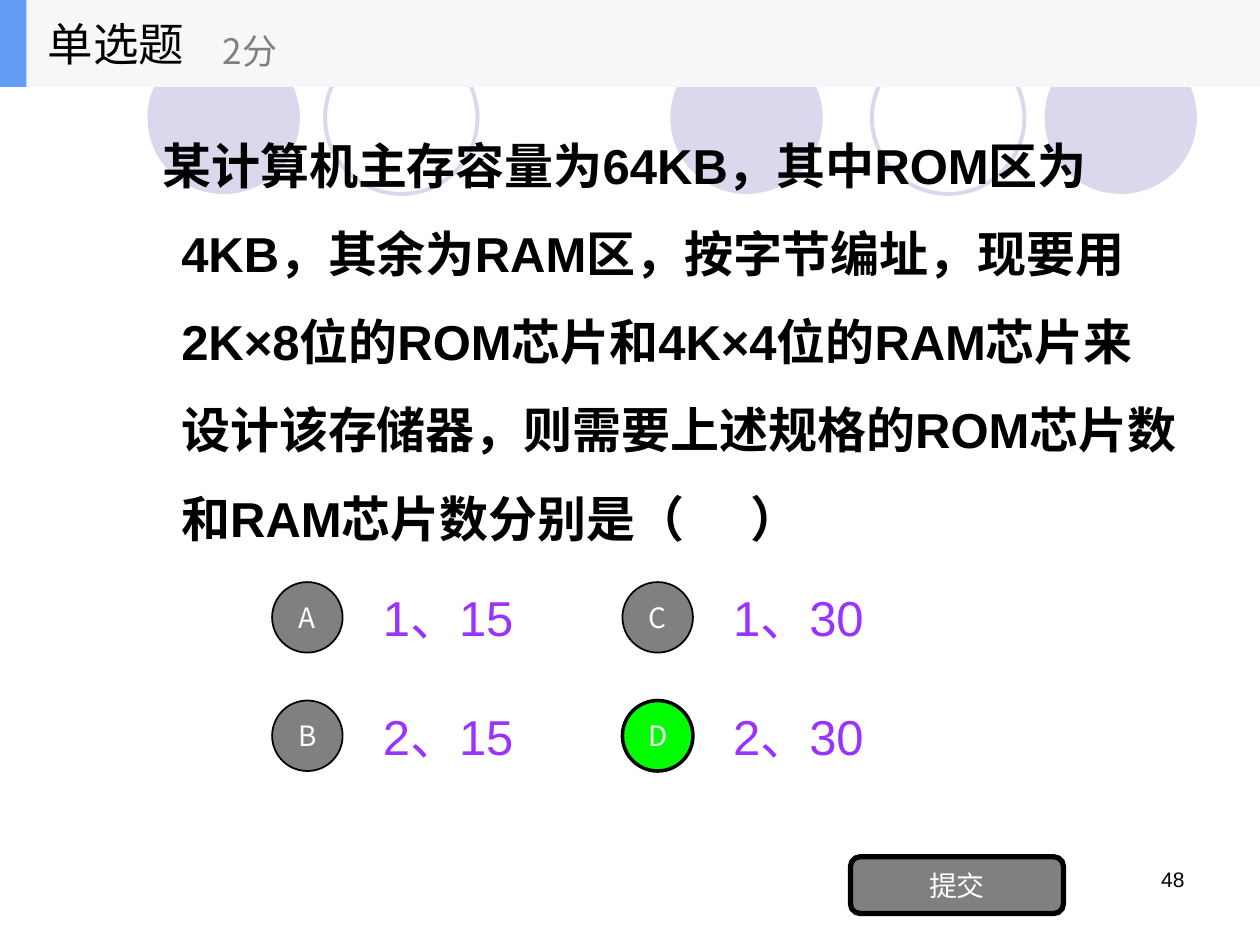
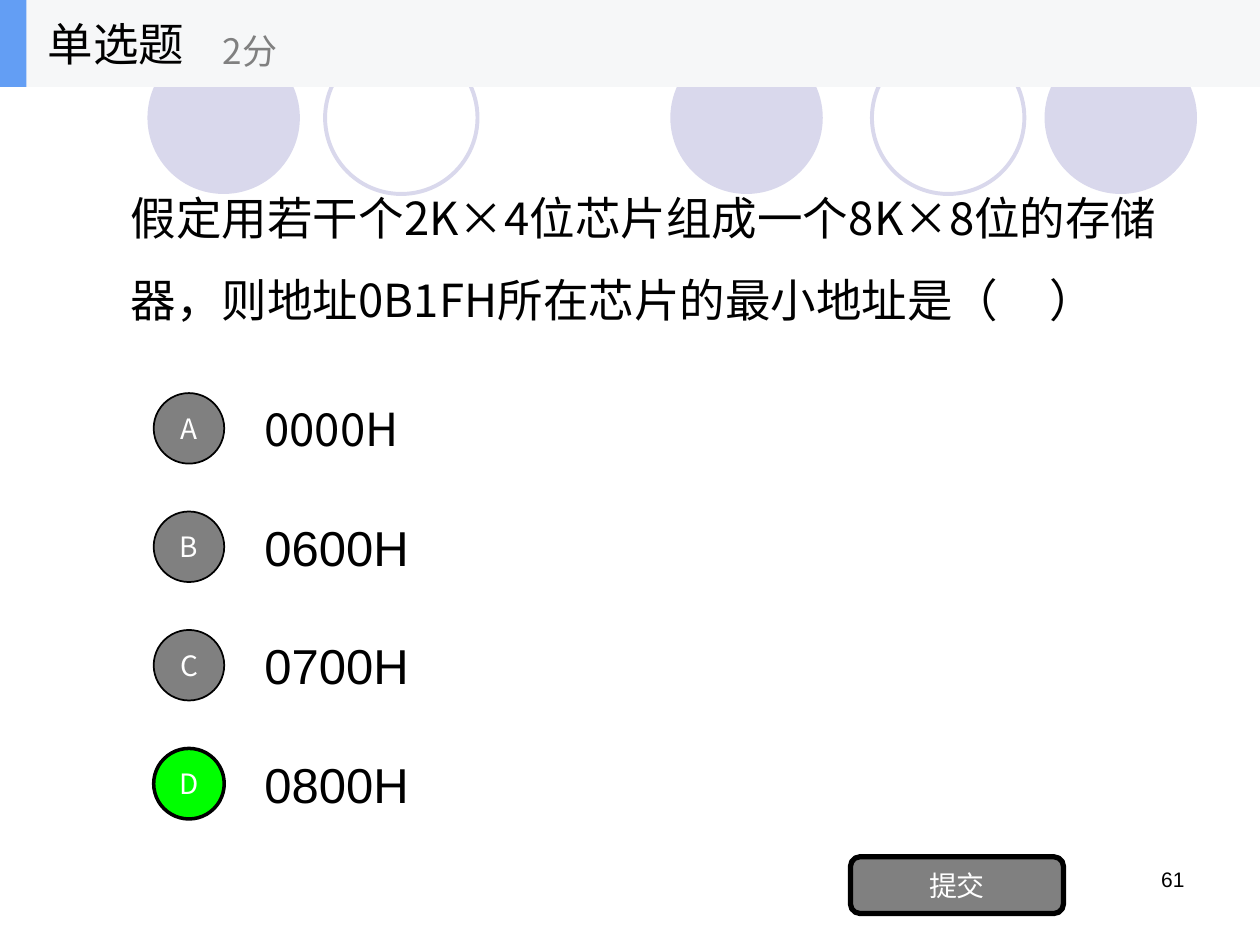
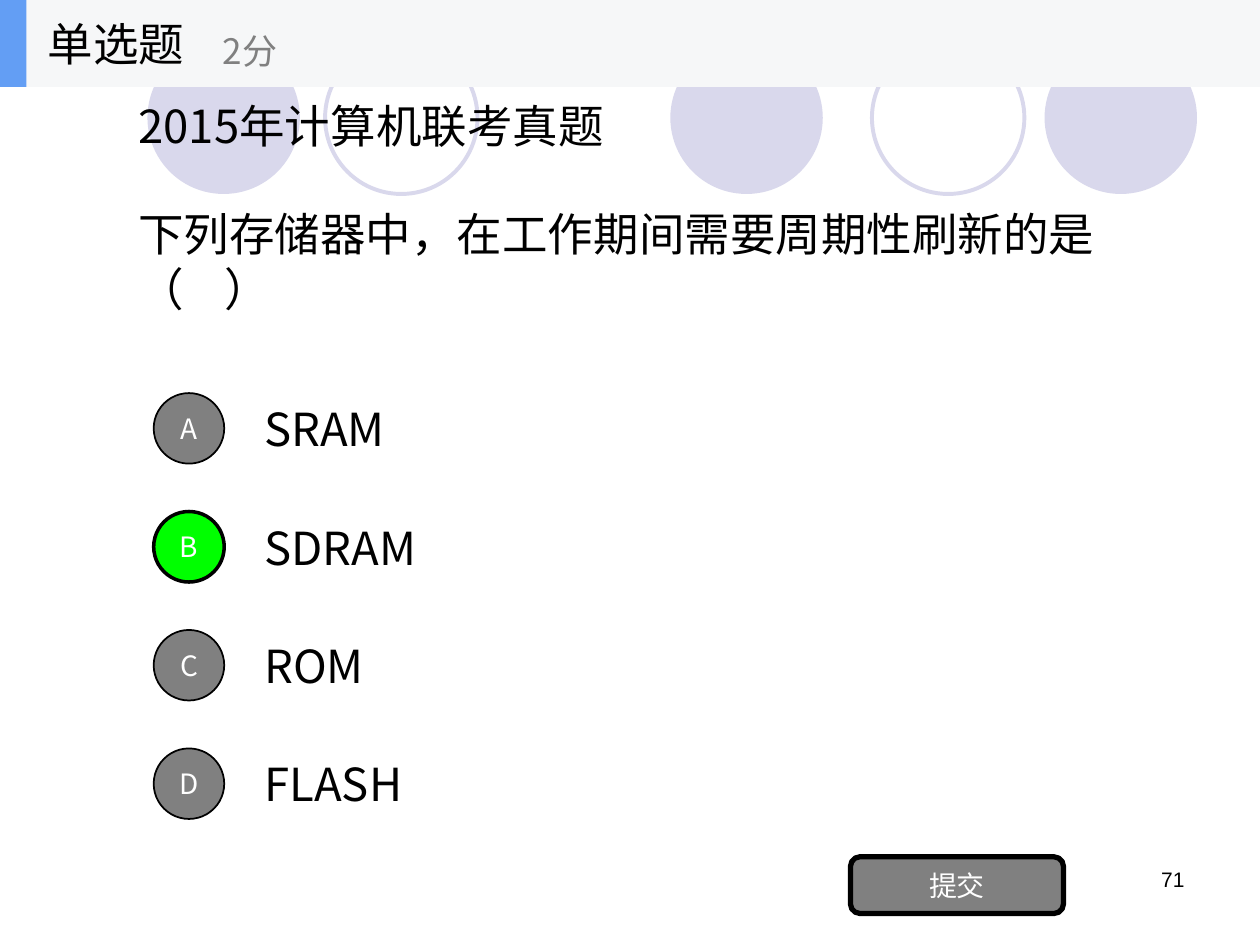
from pptx import Presentation
from pptx.dml.color import RGBColor
from pptx.enum.shapes import MSO_SHAPE
from pptx.enum.text import MSO_ANCHOR, PP_ALIGN
from pptx.oxml.ns import qn
from pptx.util import Inches, Pt

OVAL, RECT, ROUNDED = MSO_SHAPE.OVAL, MSO_SHAPE.RECTANGLE, MSO_SHAPE.ROUNDED_RECTANGLE
TOP, MIDDLE = MSO_ANCHOR.TOP, MSO_ANCHOR.MIDDLE
LEFT, CENTER, RIGHT = PP_ALIGN.LEFT, PP_ALIGN.CENTER, PP_ALIGN.RIGHT

BLACK = RGBColor(0x00, 0x00, 0x00)
WHITE = RGBColor(0xFF, 0xFF, 0xFF)
GRAY = RGBColor(0x80, 0x80, 0x80)
GREEN = RGBColor(0x00, 0xFF, 0x00)
PURPLE = RGBColor(0x99, 0x33, 0xFF)
LAVENDER = RGBColor(0xD9, 0xD8, 0xEC)
BAND = RGBColor(0xF6, 0xF7, 0xF8)
BLUE = RGBColor(0x63, 0x9E, 0xF4)

ARIAL, CJK = "Arial", "Noto Sans CJK SC"

# Content
HEADING, SCORE, SUBMIT = "单选题", "2分", "提交"
QUESTIONS = [
    {
        "number": "48",
        "question": ["某计算机主存容量为64KB，其中ROM区为4KB，其余为RAM区，按字节编址，"
                     "现要用2K×8位的ROM芯片和4K×4位的RAM芯片来设计该存储器，"
                     "则需要上述规格的ROM芯片数和RAM芯片数分别是（      ）"],
        "box": (0.75, 1.03, 8.72, 3.12),
        "style": {"font": ARIAL, "size": 28, "bold": True, "spacing": 1.5,
                  "margin": 0.59, "indent": -0.15},
        "options": [("1、15", ARIAL, 28), ("2、15", ARIAL, 28),
                    ("1、30", ARIAL, 28), ("2、30", ARIAL, 28)],
        "answer": "D", "color": PURPLE,
        "origin": (2.16, 4.62), "rows": 2, "option_width": 1.58,
    },
    {
        "number": "61",
        "question": ["假定用若干个2K×4位芯片组成一个8K×8位的存储器，"
                     "则地址0B1FH所在芯片的最小地址是（     ）"],
        "box": (0.94, 0.77, 8.41, 2.34),
        "style": {"size": 26, "spacing": 1.5},
        "options": [("0000H", CJK, 26), ("0600H", ARIAL, 28),
                    ("0700H", ARIAL, 28), ("0800H", ARIAL, 28)],
        "answer": "D", "color": BLACK,
        "origin": (1.22, 3.12), "rows": 4, "option_width": 7,
    },
    {
        "number": "71",
        "question": ["2015年计算机联考真题",
                     "下列存储器中，在工作期间需要周期性刷新的是（    ）"],
        "box": (1, 0.47, 8, 2.34),
        "style": {"size": 26, "gap": 31},
        "options": [("SRAM", CJK, 26), ("SDRAM", CJK, 26),
                    ("ROM", CJK, 26), ("FLASH", CJK, 26)],
        "answer": "B", "color": BLACK,
        "origin": (1.22, 3.12), "rows": 4, "option_width": 7,
    },
]

# Layout
CIRCLE_TOP, CIRCLE_SIZE = 0.33, 1.21
SOLID_CIRCLES, RING_CIRCLES = (5.32, 8.29, 1.17), (6.92, 2.58)
HEADER_HEIGHT = 0.69
BADGE_SIZE, COLUMN_STEP, ROW_STEP = 0.56, 2.78, 0.94
OPTION_DX, OPTION_DY, OPTION_HEIGHT = 0.78, -0.07, 0.7


def write(sp, lines, size, color=BLACK, font=CJK, bold=False, align=LEFT,
          anchor=MIDDLE, spacing=None, margin=0, indent=0, gap=0):
    tf = sp.text_frame
    tf.word_wrap = True
    tf.vertical_anchor = anchor
    for i, line in enumerate(lines):
        p = tf.paragraphs[0] if i == 0 else tf.add_paragraph()
        p.text = line
        p.alignment = align
        if spacing:
            p.line_spacing = spacing
        if margin:
            pPr = p._p.get_or_add_pPr()
            pPr.set("marL", str(Inches(margin)))
            pPr.set("indent", str(Inches(indent)))
        if i and gap:
            p.space_before = Pt(gap)
        r = p.runs[0]
        r.font.name, r.font.size, r.font.bold = font, Pt(size), bold
        r.font.color.rgb = color
        ea = r._r.get_or_add_rPr().makeelement(qn("a:ea"), {"typeface": CJK})
        r.font._element.find(qn("a:latin")).addnext(ea)


def add_text(s, box, lines, size, **style):
    write(s.shapes.add_textbox(*map(Inches, box)), lines, size, **style)


def add_shape(s, kind, box, fill=None, line=None, width=1):
    sp = s.shapes.add_shape(kind, *map(Inches, box))
    sp.shadow.inherit = False
    if fill is None:
        sp.fill.background()
    else:
        sp.fill.solid()
        sp.fill.fore_color.rgb = fill
    if line is None:
        sp.line.fill.background()
    else:
        sp.line.color.rgb = line
        sp.line.width = Pt(width)
    return sp


def add_circles(s):
    for x in SOLID_CIRCLES:
        add_shape(s, OVAL, (x, CIRCLE_TOP, CIRCLE_SIZE, CIRCLE_SIZE), LAVENDER)
    for x in RING_CIRCLES:
        add_shape(s, OVAL, (x, CIRCLE_TOP, CIRCLE_SIZE, CIRCLE_SIZE),
                  line=LAVENDER, width=2.25)


def add_header(s):
    add_shape(s, RECT, (0, 0, 10, HEADER_HEIGHT), BAND)
    add_shape(s, RECT, (0, 0, 0.21, HEADER_HEIGHT), BLUE)
    add_text(s, (0.28, 0, 2.08, HEADER_HEIGHT), [HEADING], 26)
    add_text(s, (1.67, 0.12, 2.5, 0.56), [SCORE], 20, color=GRAY)


def add_footer(s, number):
    add_text(s, (7.17, 6.83, 2.33, 0.5), [number], 12, font=ARIAL,
             align=RIGHT, anchor=TOP)
    button = add_shape(s, ROUNDED, (6.75, 6.8, 1.69, 0.45), GRAY, BLACK, 3)
    write(button, [SUBMIT], 16, color=WHITE, align=CENTER)


def add_options(s, q):
    left, top = q["origin"]
    for i, (letter, (text, font, size)) in enumerate(zip("ABCD", q["options"])):
        column, row = divmod(i, q["rows"])
        x, y = left + column * COLUMN_STEP, top + row * ROW_STEP
        add_text(s, (x + OPTION_DX, y + OPTION_DY, q["option_width"], OPTION_HEIGHT),
                 [text], size, font=font, color=q["color"])
        fill, width = (GREEN, 2) if letter == q["answer"] else (GRAY, 1)
        badge = add_shape(s, OVAL, (x, y, BADGE_SIZE, BADGE_SIZE), fill, BLACK, width)
        write(badge, [letter], 16, color=WHITE, align=CENTER)


def main():
    prs = Presentation()
    prs.slide_width, prs.slide_height = Inches(10), Inches(7.5)
    for q in QUESTIONS:
        s = prs.slides.add_slide(prs.slide_layouts[6])
        add_circles(s)
        add_text(s, q["box"], q["question"], **q["style"])
        add_options(s, q)
        add_footer(s, q["number"])
        add_header(s)
    prs.save("out.pptx")


if __name__ == "__main__":
    main()
